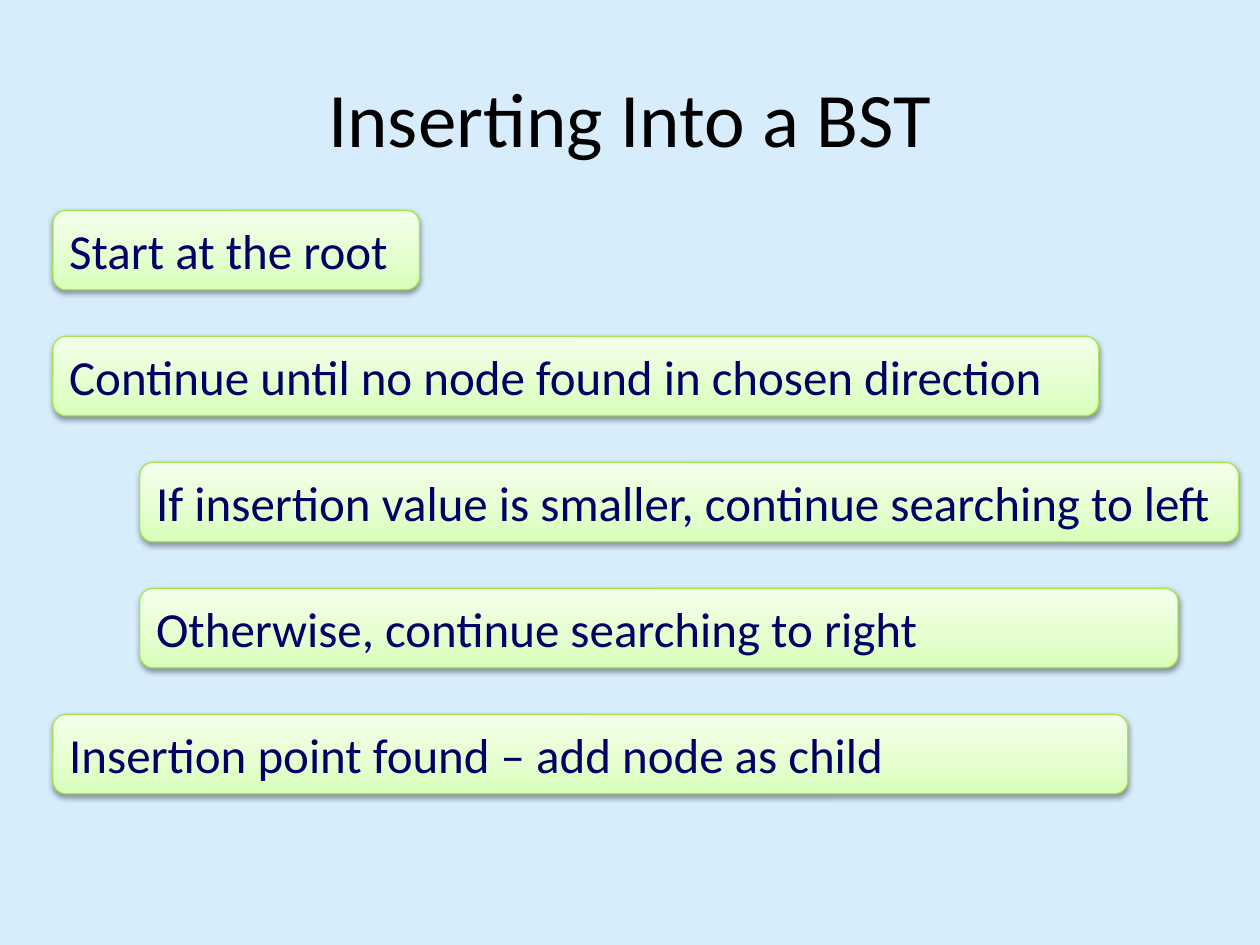
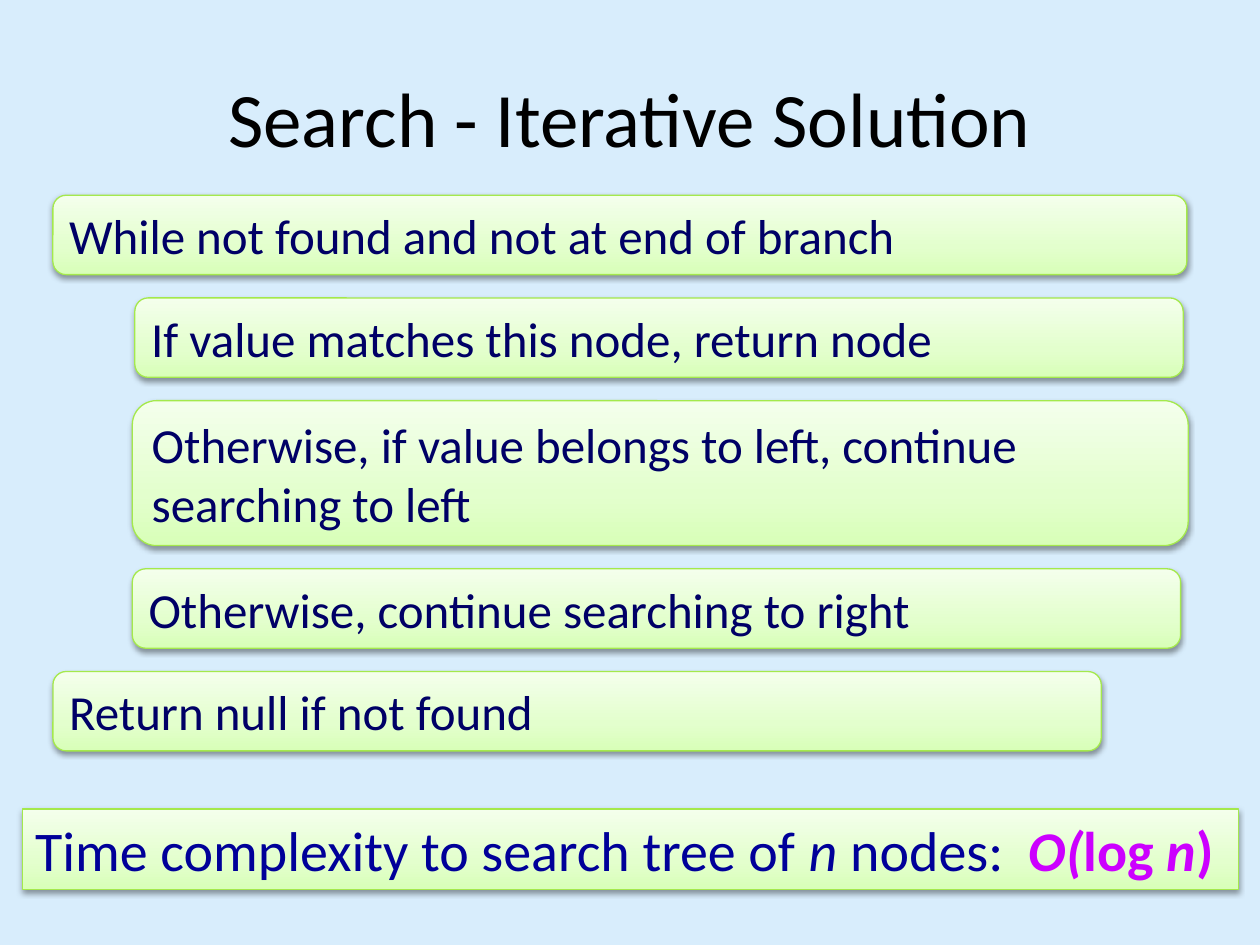
from copy import deepcopy
from dataclasses import dataclass
from lxml.etree import SubElement as Sub
from pptx import Presentation
from pptx.dml.color import RGBColor as RGB
from pptx.enum.shapes import MSO_SHAPE as Kind
from pptx.enum.text import MSO_ANCHOR as Anchor, PP_ALIGN as Align
from pptx.oxml.ns import qn
from pptx.util import Inches, Pt

# Content: each step is (text, left, width, height)
ROW = 0.63
INSERT = {
    "title": "Inserting Into a BST",
    "span": (1.67, 5.67),  # tops of first and last step
    "steps": [
        ("Start at the root", 0.42, 2.91, ROW),
        ("Continue until no node found in chosen direction", 0.42, 8.3, ROW),
        ("If insertion value is smaller, continue searching to left", 1.11, 8.72, ROW),
        ("Otherwise, continue searching to right", 1.11, 8.24, ROW),
        ("Insertion point found – add node as child", 0.42, 8.53, ROW),
    ],
}
SEARCH = {
    "title": "Search - Iterative Solution",
    "span": (1.55, 5.33),
    "steps": [
        ("While not found and not at end of branch", 0.42, 9, ROW),
        ("If value matches this node, return node", 1.07, 8.32, ROW),
        ("Otherwise, if value belongs to left, continue searching to left", 1.05, 8.38, 1.15),
        ("Otherwise, continue searching to right", 1.05, 8.32, ROW),
        ("Return null if not found", 0.42, 8.32, ROW),
    ],
}
# Cost line: (text, italic, strong)
COST = [
    ("Time complexity to search tree of ", False, False),
    ("n", True, False),
    (" nodes:  ", False, False),
    ("O(", True, True),
    ("log", False, True),
    (" n", True, True),
    (")", False, True),
]


@dataclass(frozen=True)
class Theme:
    font: str = "Calibri"
    back: str = "D8EDFC"
    title: str = "000000"
    step: str = "000066"
    cost: str = "000099"
    strong: str = "CC00FF"
    edge: str = "A4E94C"
    fade: tuple = ((0, "D8FFB8"), (0.35, "E3FFCD"), (1, "F4FFEC"))
    big: int = 44
    mid: int = 32
    small: int = 28


T = Theme()


def color(code):
    return RGB.from_string(code)


def style(para, size, code):
    font = para.font
    font.name, font.size = T.font, Pt(size)
    font.color.rgb = color(code)


def panel(slide, kind, *box):
    """Add a shape with the shared green fade, edge and soft shadow."""
    shape = slide.shapes.add_shape(kind, *map(Inches, box))
    shape.fill.gradient()
    shape.fill.gradient_angle = 90
    props = shape._element.spPr
    stops = props.find(qn("a:gradFill")).find(qn("a:gsLst"))
    stops.append(deepcopy(stops[0]))
    for stop, (place, code) in zip(shape.fill.gradient_stops, T.fade):
        stop.position, stop.color.rgb = place, color(code)
    shape.line.color.rgb = color(T.edge)
    shape.line.width = Pt(0.75)

    shape.shadow.inherit = False
    shade = Sub(props.find(qn("a:effectLst")), qn("a:outerShdw"), blurRad="40000",
                dist="20000", dir="5400000", rotWithShape="0")
    tint = Sub(shade, qn("a:srgbClr"), val="000000")
    Sub(tint, qn("a:alpha"), val="38000")
    return shape


def write(frame, text, size, code, align=Align.LEFT):
    frame.word_wrap = True
    frame.vertical_anchor = Anchor.MIDDLE
    para = frame.paragraphs[0]
    para.text, para.alignment = text, align
    style(para, size, code)


def page(deck, topic):
    slide = deck.slides.add_slide(deck.slide_layouts[6])
    slide.background.fill.solid()
    slide.background.fill.fore_color.rgb = color(T.back)
    box = slide.shapes.add_textbox(*map(Inches, (0.5, 0.3, 9, 1.25)))
    write(box.text_frame, topic["title"], T.big, T.title, Align.CENTER)

    # Equal gaps between the steps
    steps = topic["steps"]
    top, last = topic["span"]
    gap = (last - top - sum(step[3] for step in steps[:-1])) / (len(steps) - 1)
    for text, left, width, height in steps:
        shape = panel(slide, Kind.ROUNDED_RECTANGLE, left, top, width, height)
        write(shape.text_frame, text, T.small, T.step)
        top += height + gap
    return slide


def cost(slide):
    frame = panel(slide, Kind.RECTANGLE, 0.18, 6.42, 9.65, 0.64).text_frame
    frame.word_wrap = False
    frame.vertical_anchor = Anchor.TOP
    para = frame.paragraphs[0]
    para.alignment = Align.LEFT
    style(para, T.mid, T.cost)
    for text, slant, strong in COST:
        run = para.add_run()
        run.text = text
        run.font.italic, run.font.bold = slant, strong
        if strong:
            run.font.color.rgb = color(T.strong)


def main():
    deck = Presentation()
    deck.slide_width, deck.slide_height = Inches(10), Inches(7.5)
    page(deck, INSERT)
    cost(page(deck, SEARCH))
    deck.save("out.pptx")


if __name__ == "__main__":
    main()
